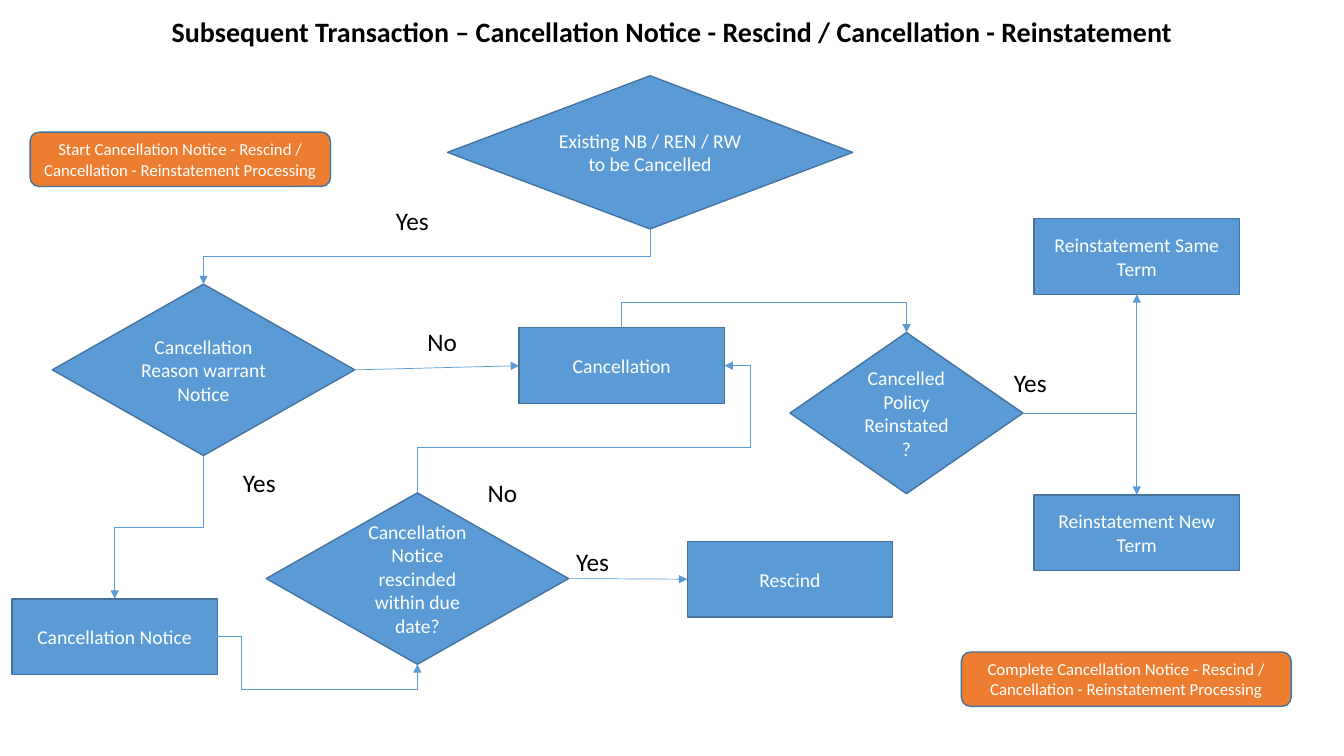
from lxml.etree import SubElement
from pptx import Presentation
from pptx.dml.color import RGBColor
from pptx.enum.shapes import MSO_CONNECTOR, MSO_SHAPE
from pptx.enum.text import MSO_ANCHOR, PP_ALIGN
from pptx.oxml.ns import qn
from pptx.util import Cm, Pt

TOP, LEFT, BASE, RIGHT = range(4)
TURN = {RIGHT: 0, BASE: 90, LEFT: 180, TOP: 270}
RECT, ROUND, GATE = MSO_SHAPE.RECTANGLE, MSO_SHAPE.ROUNDED_RECTANGLE, MSO_SHAPE.FLOWCHART_DECISION


def tint(code):
    return RGBColor.from_string(code)


class Flow:
    """Draws flow chart elements in one style on the current slide."""

    blue, orange, edge = "5B9BD5", "ED7D31", "43739E"
    white, black, face = "FFFFFF", "000000", "Calibri"

    def __init__(self, slide):
        self.items = slide.shapes

    def letter(self, shape, text, size, color, bold=False, align=PP_ALIGN.CENTER,
               anchor=MSO_ANCHOR.MIDDLE, space=1.0):
        frame = shape.text_frame
        para = frame.paragraphs[0]
        run = para.add_run()
        run.text = text
        looks = [
            (frame, {"word_wrap": True, "vertical_anchor": anchor}),
            (para, {"alignment": align, "line_spacing": space}),
            (run.font, {"name": self.face, "size": Pt(size), "bold": bold}),
        ]
        for part, values in looks:
            for key, value in values.items():
                setattr(part, key, value)
        run.font.color.rgb = tint(color)

    def title(self, text, *area):
        box = self.items.add_textbox(*map(Cm, area))
        self.letter(box, text, 20, self.black, bold=True, space=0.9)

    def label(self, text, x, y):
        box = self.items.add_textbox(*map(Cm, (x, y, 1.57, 1.02)))
        self.letter(box, text, 18, self.black, align=PP_ALIGN.LEFT, anchor=MSO_ANCHOR.TOP)

    def node(self, kind, text, x, y, wide=5.18, high=1.91, fill=blue, size=14):
        shape = self.items.add_shape(kind, *map(Cm, (x, y, wide, high)))
        shape.shadow.inherit = False
        shape.fill.solid()
        shape.fill.fore_color.rgb = tint(fill)
        shape.line.color.rgb = tint(self.edge)
        shape.line.width = Pt(1)
        self.letter(shape, text, size, self.white)
        return shape

    def gate(self, text, x, y, wide=7.62, high=4.32):
        return self.node(GATE, text, x, y, wide, high)

    def pill(self, text, x, y, wide):
        return self.node(ROUND, text, x, y, wide, 1.37, self.orange, 12)

    def link(self, start, side, end, goal, bends=0, stub=None):
        kind = MSO_CONNECTOR.ELBOW if bends else MSO_CONNECTOR.STRAIGHT
        line = self.items.add_connector(kind, 0, 0, 0, 0)
        line.begin_connect(start, side)
        line.end_connect(end, goal)
        line.line.color.rgb = tint(self.blue)
        line.line.width = Pt(0.5)
        props = line._element.spPr
        SubElement(props.find(qn("a:ln")), qn("a:tailEnd"), type="triangle")
        SubElement(props, qn("a:effectLst"))
        if bends:
            self.bend(line, TURN[side], bends, stub)

    def bend(self, line, turn, bends, stub):
        midx, midy = (line.begin_x + line.end_x) // 2, (line.begin_y + line.end_y) // 2
        dx, dy = line.end_x - line.begin_x, line.end_y - line.begin_y
        run, rise = {0: (dx, dy), 90: (dy, -dx), 180: (-dx, -dy), 270: (-dy, dx)}[turn]
        wide, high = abs(run), abs(rise)
        place = {"left": midx - wide // 2, "top": midy - high // 2, "width": wide, "height": high}
        for key, value in place.items():
            setattr(line, key, value)
        frame = line._element.spPr.find(qn("a:xfrm"))
        flips = {"rot": turn * 60000, "flipH": int(run < 0), "flipV": int(rise < 0)}
        for key, value in flips.items():
            frame.set(key, str(value))
        form = line._element.spPr.find(qn("a:prstGeom"))
        form.set("prst", f"bentConnector{bends + 1}")
        shifts = [Cm(stub) / run] if stub else []
        if bends == 3:
            shifts.append(1 + Cm(0.64) / high)
        for spot, shift in enumerate(shifts, 1):
            SubElement(form.find(qn("a:avLst")), qn("a:gd"), name=f"adj{spot}",
                       fmla=f"val {round(shift * 100000)}")


deck = Presentation()
deck.slide_width, deck.slide_height = Cm(33.87), Cm(19.05)
flow = Flow(deck.slides.add_slide(deck.slide_layouts[6]))

flow.title("Subsequent Transaction – Cancellation Notice - Rescind / Cancellation - Reinstatement",
           0, 0.2, 33.87, 1.27)
tail = "Cancellation Notice - Rescind / Cancellation - Reinstatement Processing"
flow.pill(f"Start {tail}", 0.76, 3.33, 7.57)
flow.pill(f"Complete {tail}", 24.23, 16.43, 8.31)

policy = flow.gate("Existing NB / REN / RW to be Cancelled", 11.28, 1.91, 10.21, 3.86)
reason = flow.gate("Cancellation Reason warrant Notice", 1.32, 7.16)
due = flow.gate("Cancellation Notice rescinded within due date?", 6.71, 12.42)
again = flow.gate("Cancelled Policy Reinstated ?", 19.91, 8.38, 5.87, 4.06)
notice = flow.node(RECT, "Cancellation Notice", 0.3, 15.09)
cancel = flow.node(RECT, "Cancellation", 13.08, 8.26)
rescind = flow.node(RECT, "Rescind", 17.32, 13.64)
same = flow.node(RECT, "Reinstatement Same Term", 26.06, 5.51)
new = flow.node(RECT, "Reinstatement New Term", 26.06, 12.47)

flow.link(policy, BASE, reason, TOP, 2)
flow.link(reason, BASE, notice, TOP, 2)
flow.link(reason, RIGHT, cancel, LEFT)
flow.link(notice, RIGHT, due, BASE, 3, 0.61)
flow.link(due, TOP, cancel, RIGHT, 3, 1.14)
flow.link(due, RIGHT, rescind, LEFT)
flow.link(cancel, TOP, again, TOP, 2, 0.64)
flow.link(again, RIGHT, same, BASE, 1)
flow.link(again, RIGHT, new, TOP, 1)

for word, x, y in [("Yes", 9.73, 5.05), ("Yes", 5.87, 11.66), ("No", 10.52, 8.1),
                   ("No", 12.04, 11.91), ("Yes", 14.27, 13.64), ("Yes", 25.3, 9.12)]:
    flow.label(word, x, y)

deck.save("out.pptx")
